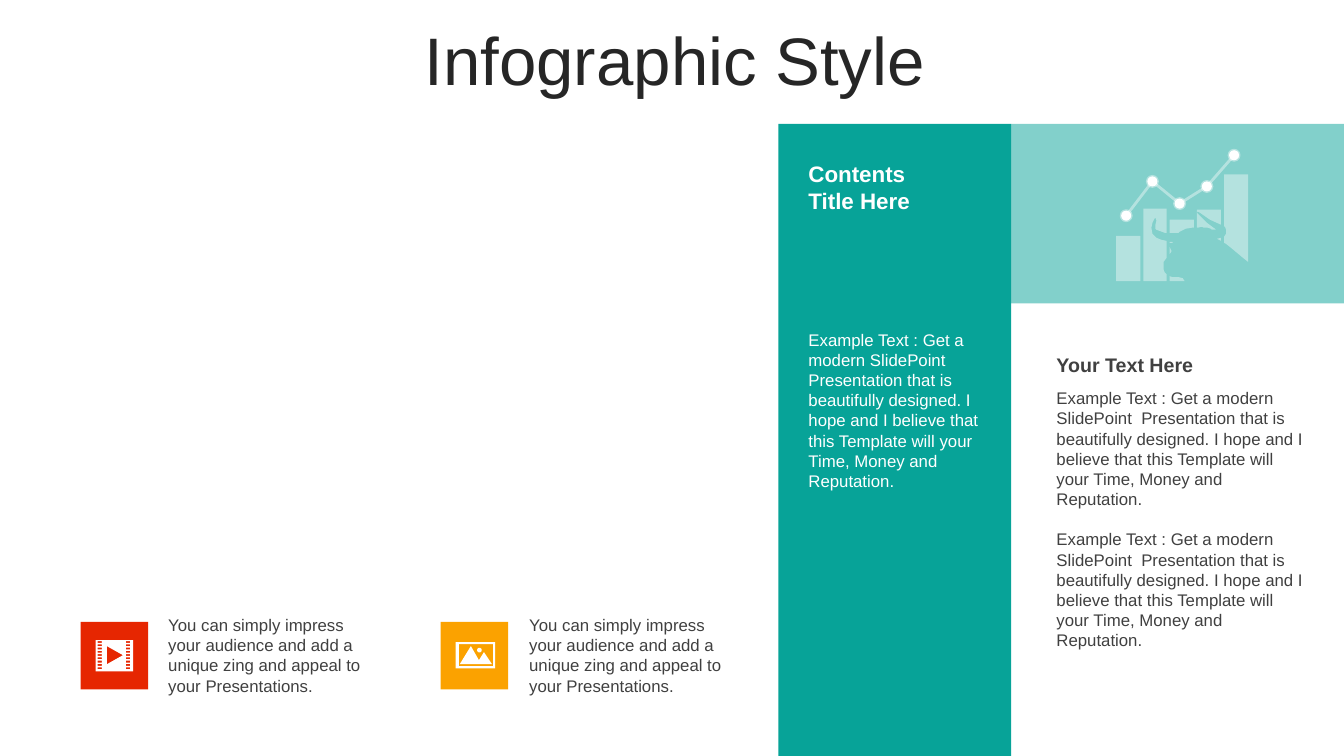
from math import cos, pi, sin

from lxml.etree import SubElement
from pptx import Presentation
from pptx.dml.color import RGBColor
from pptx.enum.shapes import MSO_SHAPE as Shape
from pptx.enum.text import MSO_ANCHOR as Anchor, MSO_AUTO_SIZE as AutoSize, PP_ALIGN as Align
from pptx.oxml.ns import qn
from pptx.util import Inches, Pt

TITLE = "Infographic Style"
EXAMPLE = ("Example Text : Get a modern SlidePoint  Presentation that is beautifully designed. "
           "I hope and I believe that this Template will your Time, Money and Reputation.")
IMPRESS = ("You can simply impress your audience and add a unique zing and appeal "
           "to your Presentations.")

THEME = {
    "font": "Arial",
    "teal": "07A398", "red": "E62601", "orange": "FBA200",
    "white": "FFFFFF", "heading": "262626", "text": "404040",
    "title": 48, "subtitle": 16, "label": 14, "body": 12,
    "trend": 2, "panel_alpha": 50, "chart_alpha": 40,
}

TEXTS = [
    ((10.38, 3.8, 2.66, 2.73), [EXAMPLE, EXAMPLE], "body", "text", False),
    ((10.38, 3.45, 2.63, 0.34), ["Your Text Here"], "label", "text", True),
    ((7.92, 3.22, 1.93, 1.72), [EXAMPLE], "body", "white", False),
    ((7.92, 1.54, 1.92, 0.64), ["Contents", "Title Here"], "subtitle", "white", True),
    ((1.57, 6.05, 2.25, 0.91), [IMPRESS], "body", "text", False),
    ((5.15, 6.05, 2.25, 0.91), [IMPRESS], "body", "text", False),
]

BLOCKS = [
    ((7.72, 1.23, 2.31, 6.27), "teal", 100),
    ((10.03, 1.23, 3.3, 1.78), "teal", THEME["panel_alpha"]),
    ((0.8, 6.17, 0.67, 0.67), "red", 100),
    ((4.37, 6.17, 0.67, 0.67), "orange", 100),
]

TREND = [(11.17, 2.14), (11.43, 1.8), (11.7, 2.02), (11.97, 1.85), (12.24, 1.54)]
DOT = 0.1

BULL_BARS = [
    [(11.6, 2.74), (11.63, 2.75), (11.69, 2.75), (11.73, 2.76), (11.75, 2.79), (11.6, 2.79)],
    [(11.6, 2.45), (11.61, 2.47), (11.62, 2.49), (11.61, 2.51), (11.6, 2.52)],
    [(11.6, 2.4), (11.63, 2.4), (11.63, 2.41), (11.6, 2.41)],
    [(12.11, 2.36), (12.11, 2.39), (12.07, 2.37)],
    [(11.07, 2.34), (11.31, 2.34), (11.31, 2.79), (11.07, 2.79)],
    [(11.6, 2.18), (11.84, 2.18), (11.84, 2.26), (11.82, 2.26), (11.76, 2.27), (11.7, 2.3),
     (11.69, 2.31), (11.6, 2.31)],
    [(11.87, 2.08), (12.11, 2.08), (12.11, 2.23), (12, 2.18), (11.9, 2.11), (11.88, 2.1),
     (11.87, 2.11), (11.89, 2.13), (11.97, 2.21), (12.05, 2.27), (12.06, 2.28), (12.02, 2.28),
     (12.01, 2.27), (11.98, 2.26), (11.94, 2.26), (11.92, 2.25), (11.88, 2.26), (11.87, 2.26)],
    [(11.34, 2.07), (11.57, 2.07), (11.57, 2.31), (11.55, 2.31), (11.47, 2.28), (11.46, 2.27),
     (11.46, 2.23), (11.47, 2.19), (11.46, 2.16), (11.45, 2.17), (11.43, 2.21), (11.42, 2.26),
     (11.43, 2.32), (11.47, 2.36), (11.52, 2.38), (11.57, 2.39), (11.57, 2.56), (11.54, 2.6),
     (11.54, 2.67), (11.55, 2.7), (11.57, 2.72), (11.57, 2.79), (11.34, 2.79)],
    [(12.14, 1.73), (12.38, 1.73), (12.38, 2.6), (12.33, 2.56), (12.21, 2.46), (12.16, 2.42),
     (12.14, 2.41), (12.14, 2.35), (12.16, 2.32), (12.16, 2.28), (12.15, 2.25), (12.14, 2.25)],
]


def box_outline(left, top, width, height):
    right, bottom = left + width, top + height
    return [(left, top), (right, top), (right, bottom), (left, bottom)]


def circle_outline(x, y, radius, steps=16):
    angles = [2 * pi * step / steps for step in range(steps)]
    return [(x + radius * cos(angle), y + radius * sin(angle)) for angle in angles]


FILM = [
    box_outline(0.95, 6.35, 0.37, 0.31),
    [(1.06, 6.41), (1.06, 6.59), (1.22, 6.5)],
    *[box_outline(left, 6.36 + 0.0325 * row, 0.04, 0.018)
      for left in (0.97, 1.25) for row in range(9)],
]
LANDSCAPE = [
    box_outline(4.52, 6.37, 0.39, 0.26),
    box_outline(4.55, 6.39, 0.34, 0.22),
    [(4.67, 6.41), (4.75, 6.55), (4.8, 6.47), (4.88, 6.59), (4.56, 6.59)],
    circle_outline(4.755, 6.45, 0.023),
]


def place(lengths):
    return [Inches(length) for length in lengths]


def paint(fill, color, alpha=100):
    fill.solid()
    fill.fore_color.rgb = RGBColor.from_string(THEME[color])
    if alpha < 100:
        tone = fill._xPr.find(".//" + qn("a:srgbClr"))
        SubElement(tone, qn("a:alpha"), val=str(alpha * 1000))


def style(shape, color=None, alpha=100, outlined=False):
    shape.shadow.inherit = False
    if color:
        paint(shape.fill, color, alpha)
    else:
        shape.fill.background()
    if outlined:
        shape.line.width = Pt(THEME["trend"])
        paint(shape.line.fill, "white", THEME["chart_alpha"])
    else:
        shape.line.fill.background()


def add_outline(page, contours, closed=True):
    builder = None
    for contour in contours:
        start, *rest = [place(point) for point in contour]
        if builder is None:
            builder = page.shapes.build_freeform(*start)
        else:
            builder.move_to(*start)
        builder.add_line_segments(rest, close=closed)
    return builder.convert_to_shape()


def write(frame, lines, size, color, bold=False, **layout):
    frame.text = "\n".join(lines)
    for para in frame.paragraphs:
        for name, value in layout.items():
            setattr(para, name, value)
        font = {"name": THEME["font"], "size": Pt(THEME[size]), "bold": bold}
        for span in para.runs:
            for name, value in font.items():
                setattr(span.font, name, value)
            span.font.color.rgb = RGBColor.from_string(THEME[color])


def add_title(page):
    title = page.shapes.title
    title.left, title.top, title.width, title.height = place((0, 0.24, 13.33, 0.78))
    frame = title.text_frame
    settings = {"vertical_anchor": Anchor.MIDDLE, "auto_size": AutoSize.NONE, "word_wrap": True,
                "margin_left": Inches(0.16), "margin_right": Inches(0.1),
                "margin_top": Inches(0.05), "margin_bottom": Inches(0.05)}
    for name, value in settings.items():
        setattr(frame, name, value)
    write(frame, [TITLE], "title", "heading", alignment=Align.CENTER, line_spacing=0.9)


def main():
    deck = Presentation()
    deck.slide_width, deck.slide_height = place((13.33, 7.5))
    page = deck.slides.add_slide(deck.slide_layouts[5])
    add_title(page)
    for area, color, alpha in BLOCKS:
        style(page.shapes.add_shape(Shape.RECTANGLE, *place(area)), color, alpha)
    for area, lines, size, color, bold in TEXTS:
        frame = page.shapes.add_textbox(*place(area)).text_frame
        frame.word_wrap = True
        frame.auto_size = AutoSize.SHAPE_TO_FIT_TEXT
        write(frame, lines, size, color, bold)
        if size == "body":
            for para in frame.paragraphs[1:]:
                para.space_before = Pt(14.4)
    for icon in (FILM, LANDSCAPE):
        style(add_outline(page, icon), "white")
    style(add_outline(page, [TREND], closed=False), outlined=True)
    for x, y in TREND:
        area = (x - DOT / 2, y - DOT / 2, DOT, DOT)
        style(page.shapes.add_shape(Shape.OVAL, *place(area)), "white", outlined=True)
    style(add_outline(page, BULL_BARS), "white", THEME["chart_alpha"])
    deck.save("out.pptx")


if __name__ == "__main__":
    main()
